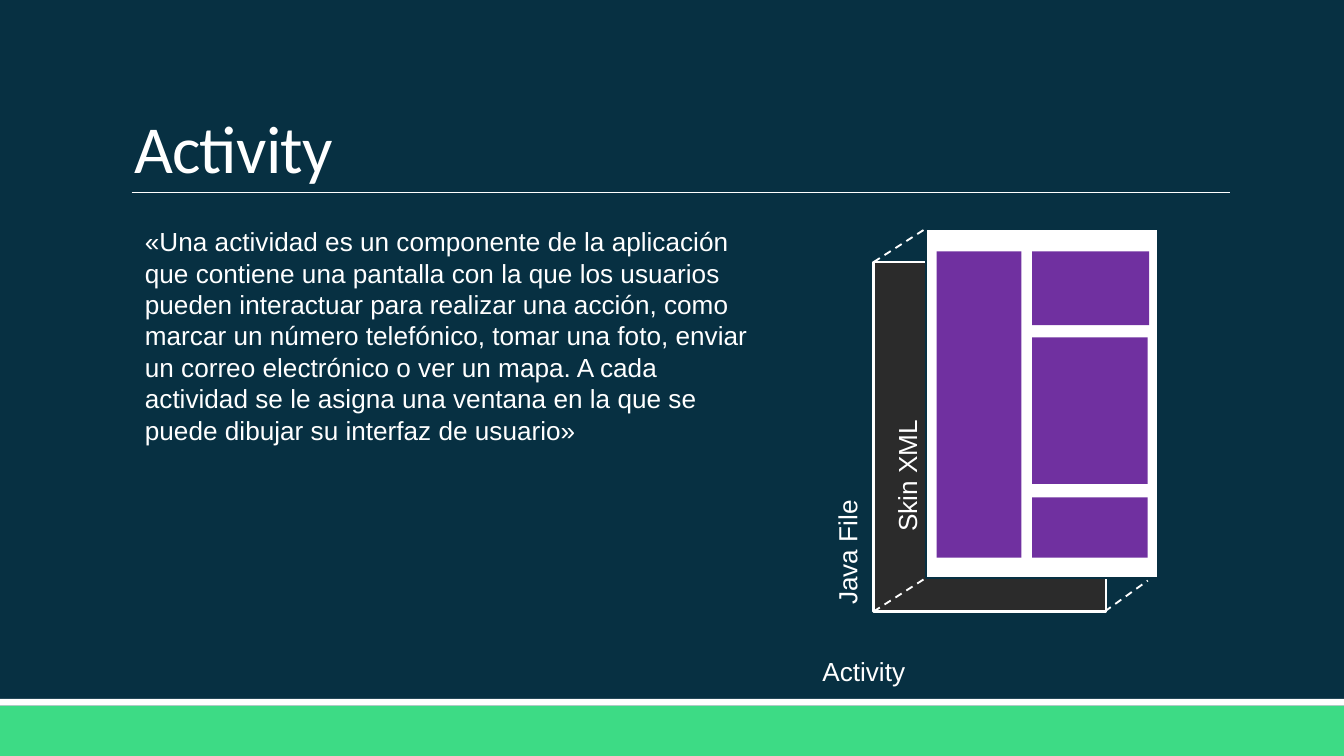
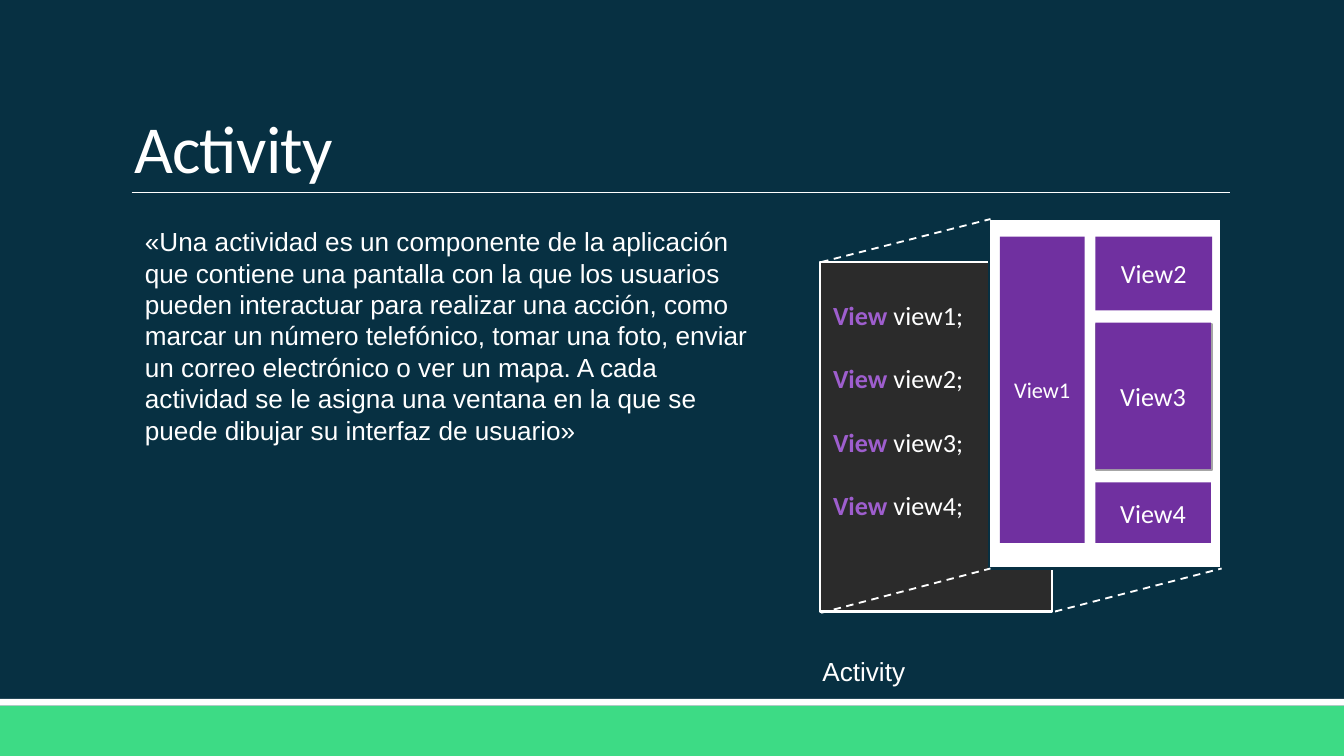
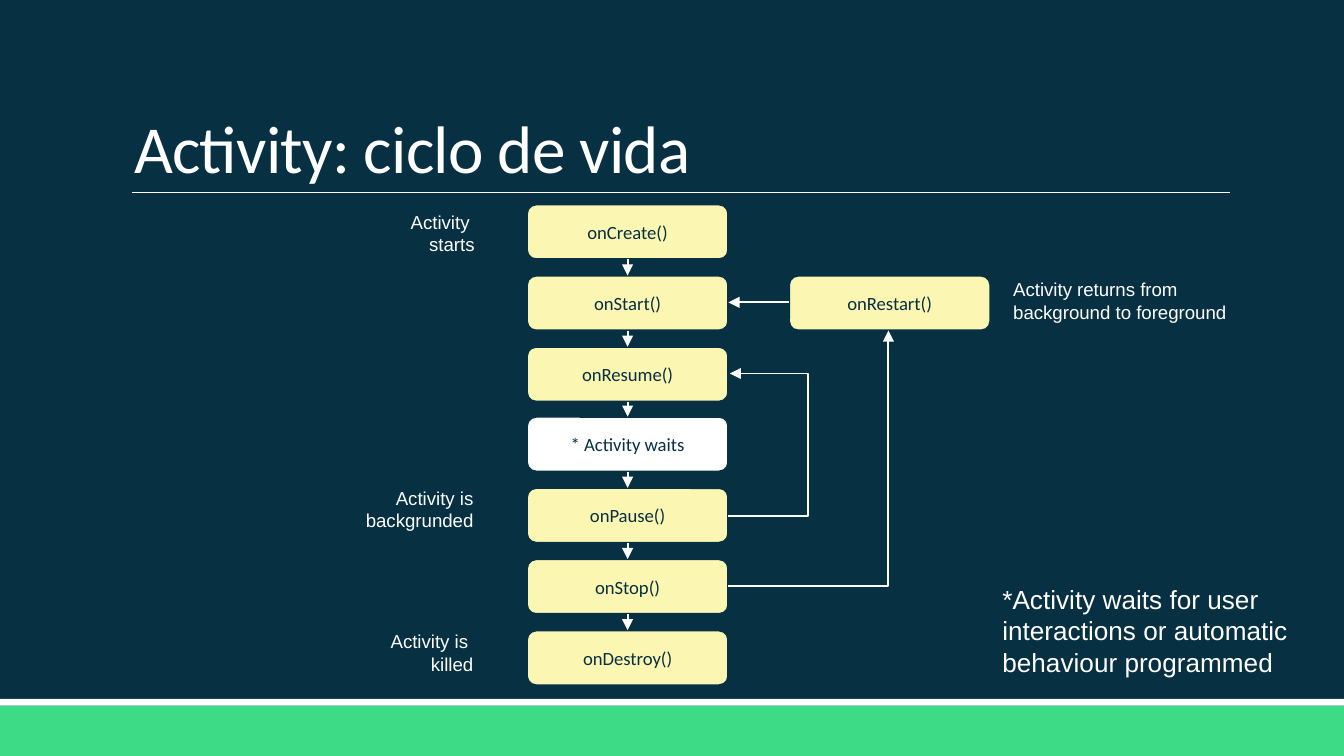
from dataclasses import dataclass
from typing import NamedTuple, Optional

from lxml.etree import SubElement
from pptx import Presentation
from pptx.dml.color import RGBColor
from pptx.enum.dml import MSO_LINE_DASH_STYLE as Dash
from pptx.enum.shapes import MSO_AUTO_SHAPE_TYPE as ShapeType
from pptx.enum.shapes import MSO_CONNECTOR_TYPE as ConnectorType
from pptx.enum.text import MSO_VERTICAL_ANCHOR as Anchor
from pptx.enum.text import PP_PARAGRAPH_ALIGNMENT as Align
from pptx.oxml.ns import qn
from pptx.shapes.autoshape import Shape
from pptx.shapes.connector import Connector
from pptx.slide import Slide
from pptx.util import Emu, Pt

EMU_PER_PX = 9144
SLIDE_WIDTH = 1000

COLORS = {
    "navy": "073042",
    "green": "3DDB85",
    "white": "FFFFFF",
    "charcoal": "2B2B2B",
    "purple": "7030A0",
    "keyword": "9E5ECE",
    "gray": "A6A6A6",
    "cream": "FCF6B3",
}

DEFINITION = (
    "«Una actividad es un componente de la aplicación que contiene una pantalla "
    "con la que los usuarios pueden interactuar para realizar una acción, como "
    "marcar un número telefónico, tomar una foto, enviar un correo electrónico o "
    "ver un mapa. A cada actividad se le asigna una ventana en la que se puede "
    "dibujar su interfaz de usuario»"
)


class Area(NamedTuple):
    left: int
    top: int
    width: int
    height: int


class Point(NamedTuple):
    x: int
    y: int


@dataclass(frozen=True)
class Label:
    text: str
    area: Area
    size: int = 14
    align: Align = Align.LEFT
    rotation: int = 0


@dataclass(frozen=True)
class View:
    name: str
    area: Area
    size: int = 14


@dataclass(frozen=True)
class Elbow:
    start: Point
    end: Point
    preset: str
    bend: Optional[int] = None


PANEL_WIDTH, PANEL_HEIGHT = 173, 260
VIEWS = [
    View("View1", Area(0, 0, 63, 228), 12),
    View("View2", Area(71, 0, 87, 55)),
    View("View3", Area(71, 64, 86, 109)),
    View("View4", Area(71, 183, 86, 45)),
]

STATE_WIDTH, STATE_HEIGHT = 150, 41
STATES_LEFT, STATES_TOP, STATES_SPAN = 392, 152, 317
STATES = [
    "onCreate()",
    "onStart()",
    "onResume()",
    "* Activity waits",
    "onPause()",
    "onStop()",
    "onDestroy()",
]


def px(length: int) -> Emu:
    return Emu(length * EMU_PER_PX)


def color(name: str) -> RGBColor:
    return RGBColor.from_string(COLORS[name])


def format_text(shape: Shape, font: str, size: int, ink: str, align: Align) -> None:
    for paragraph in shape.text_frame.paragraphs:
        paragraph.alignment = align
        for run in paragraph.runs:
            run.font.name = font
            run.font.size = Pt(size)
            run.font.color.rgb = color(ink)


def add_box(
    slide: Slide,
    area: Area,
    fill: str,
    line: Optional[str] = None,
    kind: ShapeType = ShapeType.RECTANGLE,
) -> Shape:
    shape = slide.shapes.add_shape(kind, *map(px, area))
    shape.shadow.inherit = False
    shape.fill.solid()
    shape.fill.fore_color.rgb = color(fill)
    if line:
        shape.line.color.rgb = color(line)
        shape.line.width = Pt(1.25)
    else:
        shape.line.fill.background()
    return shape


def add_caption(shape: Shape, text: str, size: int, ink: str) -> None:
    shape.text_frame.text = text
    shape.text_frame.vertical_anchor = Anchor.MIDDLE
    format_text(shape, "Calibri", size, ink, Align.CENTER)


def add_label(slide: Slide, label: Label) -> None:
    shape = slide.shapes.add_textbox(*map(px, label.area))
    shape.rotation = label.rotation
    shape.text_frame.word_wrap = not label.rotation
    shape.text_frame.text = label.text
    format_text(shape, "Arial", label.size, "white", label.align)


def add_line(
    slide: Slide,
    start: Point,
    end: Point,
    width: float = 1,
    dashed: bool = False,
    arrow: bool = False,
    kind: ConnectorType = ConnectorType.STRAIGHT,
) -> Connector:
    connector = slide.shapes.add_connector(kind, *map(px, (*start, *end)))
    connector.line.color.rgb = color("white")
    connector.line.width = Pt(width)
    if dashed:
        connector.line.dash_style = Dash.DASH
    if arrow:
        SubElement(connector.line._get_or_add_ln(), qn("a:tailEnd"), type="triangle")
    SubElement(connector._element.spPr, qn("a:effectLst"))
    return connector


def add_elbow(slide: Slide, elbow: Elbow) -> None:
    connector = add_line(
        slide, elbow.start, elbow.end, arrow=True, kind=ConnectorType.ELBOW
    )
    geometry = connector._element.spPr.find(qn("a:prstGeom"))
    geometry.set("prst", elbow.preset)
    if elbow.bend is not None:
        adjustments = geometry.find(qn("a:avLst"))
        SubElement(adjustments, qn("a:gd"), name="adj1", fmla=f"val {elbow.bend}")


def add_title(slide: Slide, title: str) -> None:
    shape = slide.shapes.add_textbox(*map(px, Area(90, 24, 825, 119)))
    text_frame = shape.text_frame
    text_frame.word_wrap = True
    text_frame.vertical_anchor = Anchor.BOTTOM
    text_frame.margin_bottom = px(5)
    text_frame.text = title
    format_text(shape, "Calibri", 36, "white", Align.LEFT)
    paragraph = text_frame.paragraphs[0]
    paragraph.line_spacing = 0.75
    paragraph.runs[0].font._element.set("spc", "-40")


def add_base_slide(presentation: Presentation, title: str) -> Slide:
    slide = presentation.slides.add_slide(presentation.slide_layouts[6])
    slide.background.fill.solid()
    slide.background.fill.fore_color.rgb = color("navy")
    add_box(slide, Area(0, 525, SLIDE_WIDTH, 38), "green")
    add_box(slide, Area(0, 520, SLIDE_WIDTH, 5), "white")
    add_line(slide, Point(98, 143), Point(915, 143), width=0.5)
    add_title(slide, title)
    return slide


def add_panels(slide: Slide, code: Point, screen: Point) -> Shape:
    add_label(slide, Label("Activity", Area(602, 483, 162, 34)))
    add_label(slide, Label(DEFINITION, Area(98, 163, 480, 199)))
    code_panel = add_box(
        slide, Area(*code, PANEL_WIDTH, PANEL_HEIGHT), "charcoal", "white"
    )
    add_box(slide, Area(*screen, PANEL_WIDTH, PANEL_HEIGHT), "white", "navy")
    return code_panel


def add_views(slide: Slide, origin: Point, named: bool) -> None:
    for view in VIEWS:
        left, top, width, height = view.area
        area = Area(origin.x + left, origin.y + top, width, height)
        shape = add_box(slide, area, "purple")
        if named:
            add_caption(shape, view.name, view.size, "white")


def add_projection(slide: Slide, edges: list[tuple[Point, Point]]) -> None:
    for start, end in edges:
        add_line(slide, start, end, dashed=True)


def add_declarations(code_panel: Shape) -> None:
    text_frame = code_panel.text_frame
    text_frame.vertical_anchor = Anchor.TOP
    text_frame.margin_top = px(28)
    text_frame.text = "\n".join("View" for _ in VIEWS)
    for paragraph, view in zip(text_frame.paragraphs, VIEWS):
        paragraph.space_after = Pt(17)
        paragraph.add_run().text = f" {view.name.lower()};"
    format_text(code_panel, "Calibri", 14, "white", Align.LEFT)
    for paragraph in text_frame.paragraphs:
        keyword = paragraph.runs[0]
        keyword.font.bold = True
        keyword.font.color.rgb = color("keyword")


def add_state(slide: Slide, name: str, left: int, top: int) -> None:
    fill = "white" if name.startswith("*") else "cream"
    area = Area(left, top, STATE_WIDTH, STATE_HEIGHT)
    shape = add_box(slide, area, fill, "navy", ShapeType.ROUNDED_RECTANGLE)
    add_caption(shape, name, 10, "navy")


def build_layers_slide(presentation: Presentation) -> None:
    slide = add_base_slide(presentation, "Activity")
    add_panels(slide, Point(650, 195), Point(689, 170))
    add_projection(slide, [
        (Point(650, 195), Point(689, 170)),
        (Point(650, 455), Point(689, 430)),
        (Point(822, 455), Point(854, 432)),
    ])
    for text, area in [
        ("Java File", Area(581, 394, 99, 34)),
        ("Skin XML", Area(623, 337, 104, 34)),
    ]:
        add_label(slide, Label(text, area, align=Align.CENTER, rotation=270))
    add_views(slide, Point(697, 187), named=False)


def build_views_slide(presentation: Presentation) -> None:
    slide = add_base_slide(presentation, "Activity")
    code_panel = add_panels(slide, Point(610, 195), Point(736, 163))
    add_declarations(code_panel)
    add_projection(slide, [
        (Point(611, 195), Point(737, 163)),
        (Point(611, 456), Point(737, 423)),
        (Point(785, 455), Point(909, 423)),
    ])
    add_box(slide, Area(816, 241, 86, 109), "gray", "gray")
    add_views(slide, Point(744, 176), named=True)


def build_lifecycle_slide(presentation: Presentation) -> None:
    slide = add_base_slide(presentation, "Activity: ciclo de vida")
    gaps = len(STATES) - 1
    tops = [STATES_TOP + round(STATES_SPAN * index / gaps) for index in range(gaps + 1)]
    for name, top in zip(STATES, tops):
        add_state(slide, name, STATES_LEFT, top)
    center = STATES_LEFT + STATE_WIDTH // 2
    for top, next_top in zip(tops, tops[1:]):
        start = Point(center, top + STATE_HEIGHT)
        add_line(slide, start, Point(center, next_top), arrow=True)

    right = STATES_LEFT + STATE_WIDTH
    restart_left = 587
    add_state(slide, "onRestart()", restart_left, tops[1])
    add_line(slide, Point(restart_left, 225), Point(right, 225), arrow=True)
    for elbow in [
        Elbow(Point(right, 436), Point(661, 246), "bentConnector2"),
        Elbow(Point(right, 384), Point(right + 1, 278), "bentConnector3", 6000000),
    ]:
        add_elbow(slide, elbow)

    for label in [
        Label("Activity \nstarts", Area(209, 152, 154, 44), 10, Align.RIGHT),
        Label("Activity is backgrunded", Area(208, 357, 154, 44), 10, Align.RIGHT),
        Label("Activity is \nkilled", Area(208, 464, 154, 44), 10, Align.RIGHT),
        Label(
            "Activity returns from background to foreground",
            Area(744, 202, 189, 44),
            10,
        ),
        Label(
            "*Activity waits for user interactions or automatic behaviour programmed",
            Area(736, 429, 273, 81),
        ),
    ]:
        add_label(slide, label)


def main() -> None:
    presentation = Presentation()
    presentation.slide_width = px(SLIDE_WIDTH)
    presentation.slide_height = Emu(px(SLIDE_WIDTH) * 9 // 16)
    build_layers_slide(presentation)
    build_views_slide(presentation)
    build_lifecycle_slide(presentation)
    presentation.save("out.pptx")


if __name__ == "__main__":
    main()
